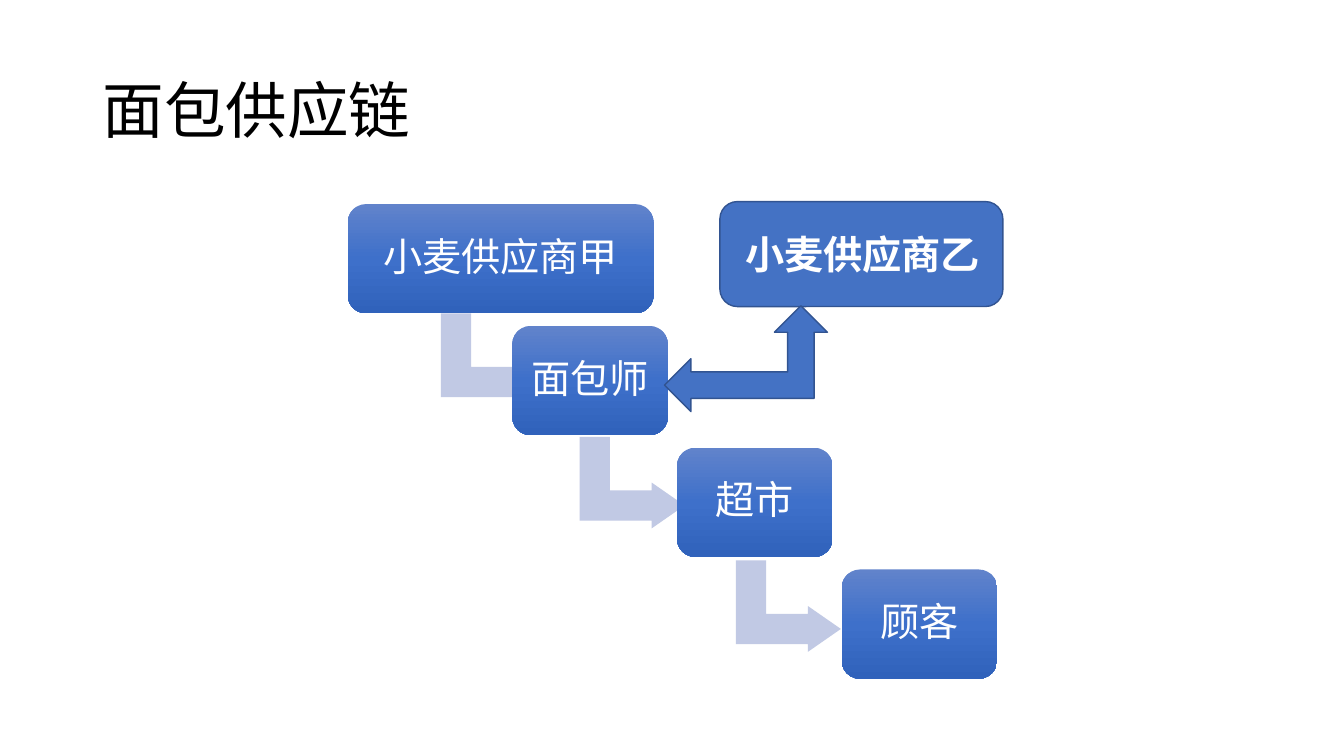
from copy import deepcopy

from pptx import Presentation
from pptx.dml.color import RGBColor
from pptx.enum.shapes import MSO_SHAPE as Preset
from pptx.enum.text import MSO_ANCHOR as Anchor, PP_ALIGN as Align
from pptx.oxml.ns import qn
from pptx.util import Inches, Pt

BLACK = RGBColor(0x00, 0x00, 0x00)
WHITE = RGBColor(0xFF, 0xFF, 0xFF)
BLUE = RGBColor(0x44, 0x72, 0xC4)
NAVY = RGBColor(0x32, 0x54, 0x91)
PALE = RGBColor(0xC1, 0xC9, 0xE4)
SHADES = (
    (0, RGBColor(0x61, 0x83, 0xCB)),
    (0.5, RGBColor(0x3E, 0x70, 0xCA)),
    (1, RGBColor(0x30, 0x62, 0xBB)),
)
COLUMNS, ROWS = 160, 90


class ChainSlide:
    """Draws the parts of a supply chain on a grid of 160 columns by 90 rows."""

    font = "Calibri"
    title_size = Pt(44)
    label_size = Pt(28)

    def __init__(self, deck):
        self.column = deck.slide_width / COLUMNS
        self.row = deck.slide_height / ROWS
        self.slide = deck.slides.add_slide(deck.slide_layouts[5])

    def place(self, left, top, width, height):
        return (round(left * self.column), round(top * self.row),
                round(width * self.column), round(height * self.row))

    def label(self, frame, wording, size, color, align, bold=False, spacing=0.9):
        frame.vertical_anchor = Anchor.MIDDLE
        frame.word_wrap = True
        line = frame.paragraphs[0]
        line.alignment = align
        line.line_spacing = spacing
        run = line.add_run()
        run.text = wording
        run.font.name = self.font
        run.font.size = size
        run.font.bold = bold
        run.font.color.rgb = color

    def title(self, wording, *area):
        heading = self.slide.shapes.title
        heading.left, heading.top, heading.width, heading.height = self.place(*area)
        self.label(heading.text_frame, wording, self.title_size, BLACK, Align.LEFT)

    def solid(self, preset, area, fill, outline=None):
        part = self.slide.shapes.add_shape(preset, *self.place(*area))
        part.shadow.inherit = False
        part.fill.solid()
        part.fill.fore_color.rgb = fill
        if outline is None:
            part.line.fill.background()
        else:
            part.line.color.rgb = outline
            part.line.width = Pt(1)
        return part

    def bend(self, *area):
        arrow = self.solid(Preset.BENT_UP_ARROW, area, PALE)
        arrow.rotation = 90
        for index, share in enumerate((0.33, 0.25, 0.36)):
            arrow.adjustments[index] = share

    def stage(self, wording, *area):
        box = self.solid(Preset.ROUNDED_RECTANGLE, area, BLUE)
        box.fill.gradient()
        box.fill.gradient_angle = 270
        shades = box.element.spPr.find(qn("a:gradFill")).find(qn("a:gsLst"))
        shades.insert(1, deepcopy(shades[0]))
        for stop, (position, color) in zip(box.fill.gradient_stops, SHADES):
            stop.position = position
            stop.color.rgb = color
        self.label(box.text_frame, wording, self.label_size, WHITE, Align.CENTER)

    def supplier(self, wording, *area):
        box = self.solid(Preset.ROUNDED_RECTANGLE, area, BLUE, NAVY)
        box.text_frame.margin_left = round(2.4 * self.column)
        box.text_frame.margin_right = 0
        self.label(box.text_frame, wording, self.label_size, WHITE,
                   Align.LEFT, bold=True, spacing=1.0)

    def exchange(self, *area):
        self.solid(Preset.LEFT_UP_ARROW, area, BLUE, NAVY)


def main():
    deck = Presentation()
    deck.slide_width, deck.slide_height = Inches(13.33), Inches(7.5)
    chain = ChainSlide(deck)
    chain.title("面包供应链", 11, 4.8, 138, 17.4)

    stages = (("小麦供应商甲", 36.4), ("面包师", 18.5), ("超市", 18.5), ("顾客", 18.5))
    bend_columns = (53.3, 69.8, 88.4)
    for step, (wording, width) in enumerate(stages):
        if step < len(bend_columns):
            chain.bend(bend_columns[step], 36.5 + 14.7 * step, 10.9, 12.5)
        chain.stage(wording, 41.4 + 19.6 * step, 24.3 + 14.5 * step, width, 13)

    chain.supplier("小麦供应商乙", 85.7, 24, 33.7, 12.5)
    chain.exchange(79.1, 36.4, 19.4, 12.6)
    deck.save("out.pptx")


if __name__ == "__main__":
    main()
